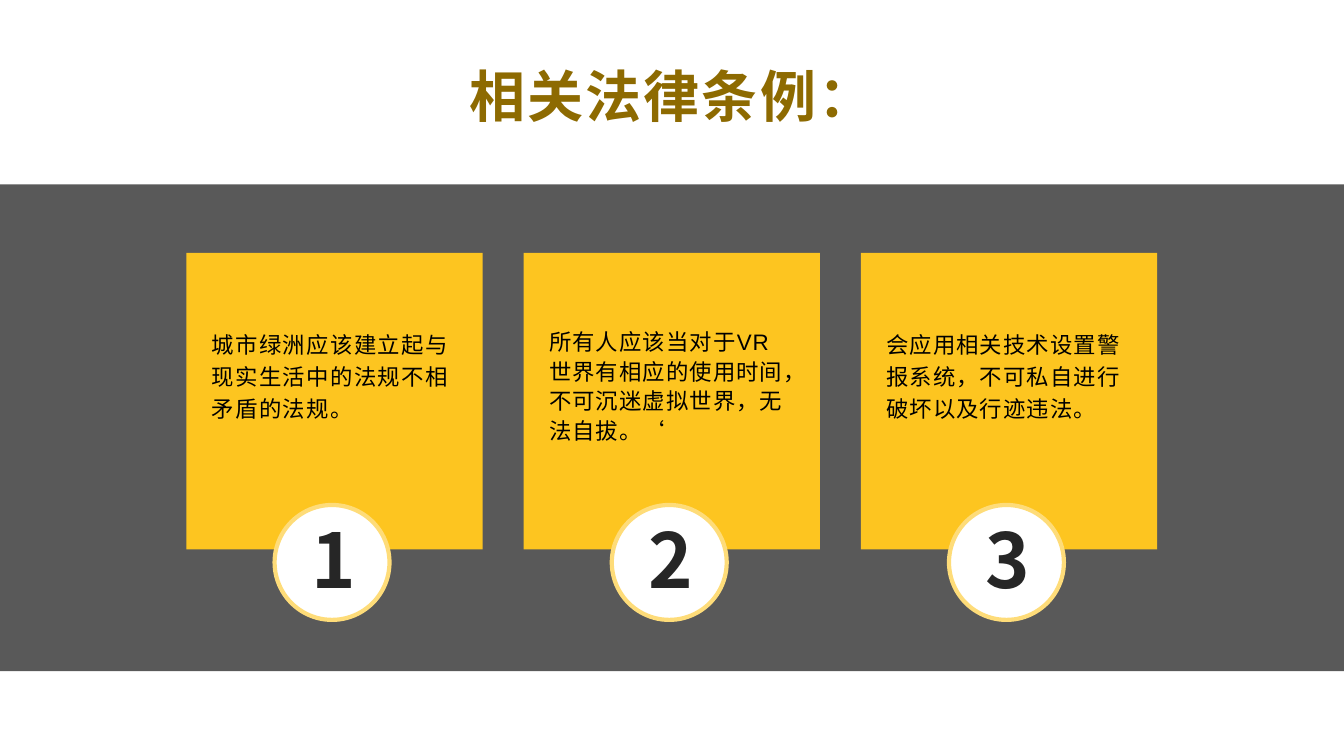
from lxml import etree
from pptx import Presentation
from pptx import util as u
from pptx.dml.color import RGBColor
from pptx.enum import shapes, text
from pptx.oxml import ns

COLORS = {
    "band": "595959", "title": "8D6A01", "card": "FDC520", "badge": "FFFFFF",
    "ring": "FEDC79", "body": "000000", "number": "262626",
}
CJK_FONT = "Noto Sans CJK SC"
LATIN_FONT = "Arial"

CARD_LEFT, CARD_PITCH = 13.87, 25.09
RULES = [
    ("城市绿洲应该建立起与现实生活中的法规不相矛盾的法规。", 1.2, 1),
    ("所有人应该当对于VR世界有相应的使用时间，不可沉迷虚拟世界，无法自拔。‘", 1.1, 0.8),
    ("会应用相关技术设置警报系统，不可私自进行破坏以及行迹违法。", 1.2, 0.8),
]


class SlideBuilder:
    """Draws on one slide; every place is (left, top, width, height) in percent of the slide."""

    def __init__(self, deck):
        self.deck = deck
        self.slide = deck.slides.add_slide(deck.slide_layouts[6])

    def area(self, place):
        sides = (self.deck.slide_width, self.deck.slide_height) * 2
        return [round(share * side / 100) for share, side in zip(place, sides)]

    def color(self, name):
        return RGBColor.from_string(COLORS[name])

    def block(self, kind, place, fill, line=None, width=3):
        block = self.slide.shapes.add_shape(kind, *self.area(place))
        block.shadow.inherit = False
        block.fill.solid()
        block.fill.fore_color.rgb = self.color(fill)
        if line:
            block.line.color.rgb = self.color(line)
            block.line.width = u.Pt(width)
        else:
            block.line.fill.background()

    def label(self, words, place, *, size, color, font=CJK_FONT, bold=False, spacing=0,
              align=text.PP_ALIGN.LEFT, anchor=text.MSO_ANCHOR.TOP,
              line_spacing=None, after=0, insets=(0, 0)):
        frame = self.slide.shapes.add_textbox(*self.area(place)).text_frame
        frame.word_wrap = True
        frame.vertical_anchor = anchor
        frame.margin_left = frame.margin_right = u.Inches(insets[0])
        frame.margin_top = frame.margin_bottom = u.Inches(insets[1])
        paragraph = frame.paragraphs[0]
        paragraph.alignment = align
        paragraph.space_after = u.Pt(after)
        paragraph.line_spacing = line_spacing
        run = paragraph.add_run()
        run.text = words
        run.font.size = u.Pt(size)
        run.font.bold = bold
        run.font.color.rgb = self.color(color)
        run.font.name = font
        properties = run._r.get_or_add_rPr()
        properties.set("spc", str(round(spacing * 100)))
        etree.SubElement(properties, ns.qn("a:ea")).set("typeface", CJK_FONT)

    def rule_card(self, number, words, line_spacing, spacing):
        left = CARD_LEFT + (number - 1) * CARD_PITCH
        self.block(shapes.MSO_SHAPE.RECTANGLE, (left, 33.47, 22.05, 39.2), "card")
        self.block(shapes.MSO_SHAPE.OVAL, (left + 6.56, 66.8, 8.55, 15.2), "badge", line="ring")
        self.label(words, (left + 1.16, 42.4, 19.35, 18.93), size=16, color="body",
                   font=LATIN_FONT, spacing=spacing, line_spacing=line_spacing,
                   after=8, insets=(0.1, 0.05))
        self.label(str(number), (left + 6.67, 66.93, 8.55, 13.87), size=54, color="number",
                   bold=True, spacing=4.8, align=text.PP_ALIGN.CENTER,
                   anchor=text.MSO_ANCHOR.MIDDLE, after=8)


def main():
    deck = Presentation()
    deck.slide_width, deck.slide_height = u.Inches(13.33), u.Inches(7.5)
    page = SlideBuilder(deck)
    page.block(shapes.MSO_SHAPE.RECTANGLE, (0, 24.4, 100, 64.4), "band")
    page.label("相关法律条例：", (7.5, 7.47, 85, 10.27), size=40, color="title", bold=True,
               spacing=1.6, align=text.PP_ALIGN.CENTER, anchor=text.MSO_ANCHOR.MIDDLE,
               insets=(0.07, 0.03))
    for number, rule in enumerate(RULES, start=1):
        page.rule_card(number, *rule)
    deck.save("out.pptx")


if __name__ == "__main__":
    main()
